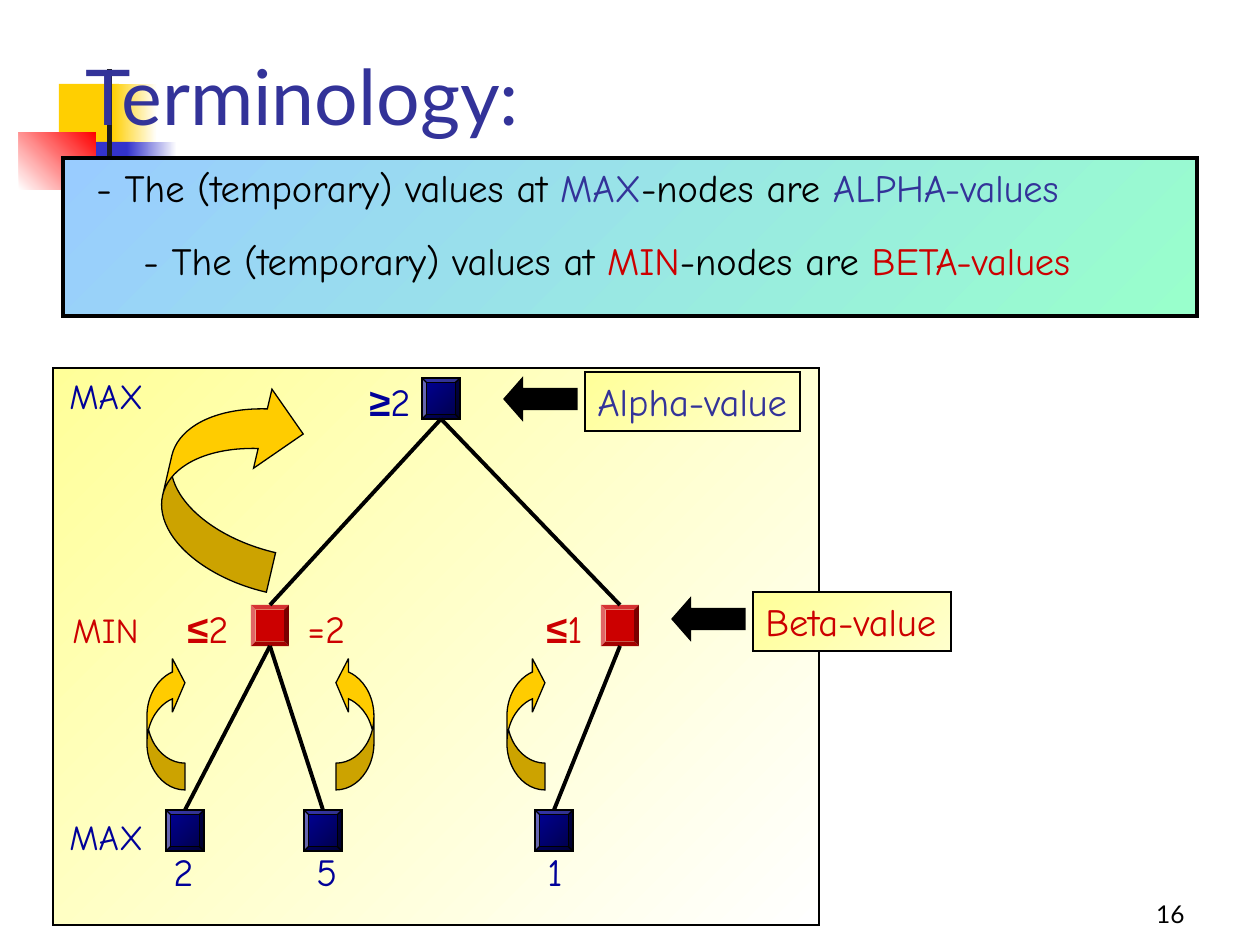
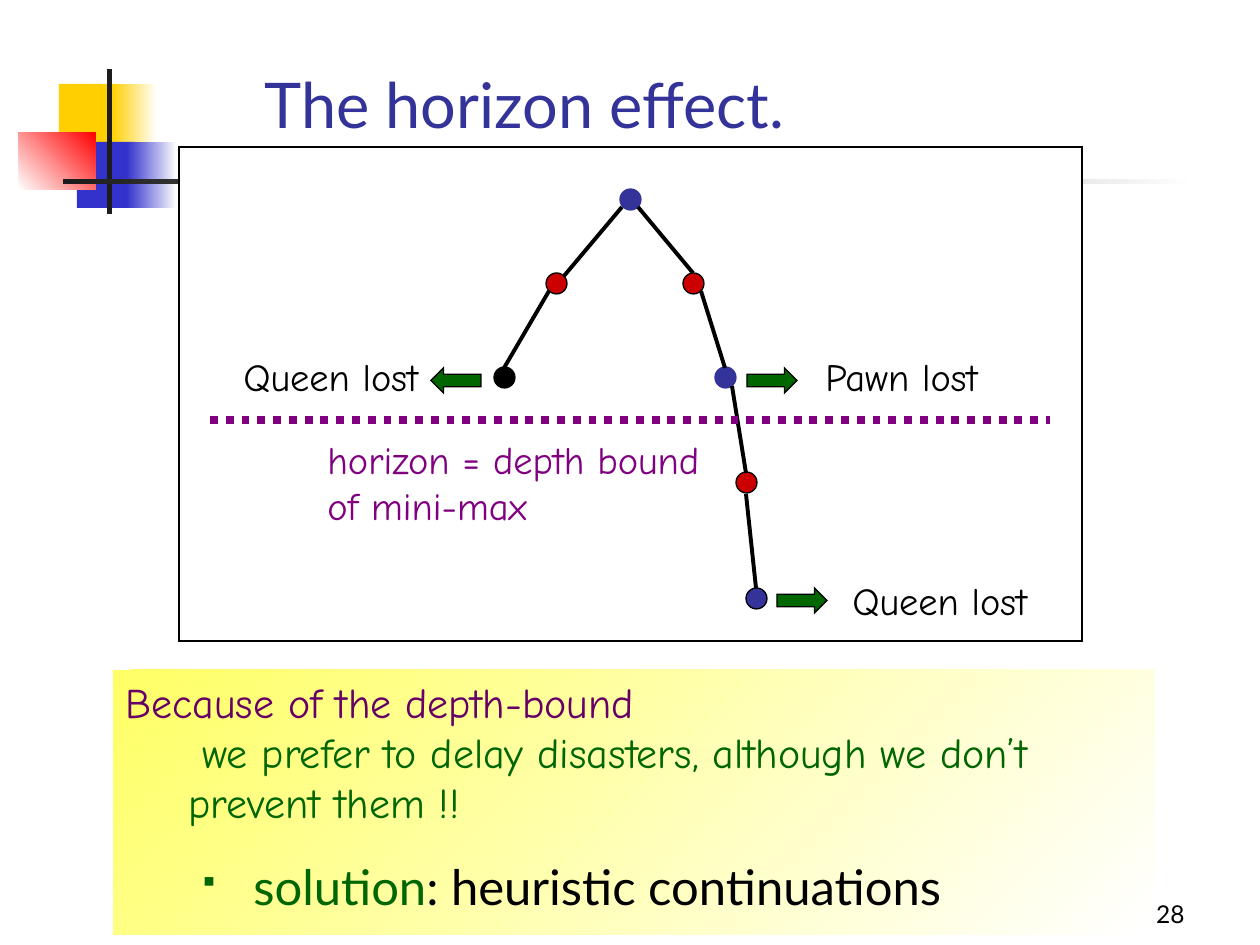
from dataclasses import dataclass

from lxml import etree
from pptx import Presentation
from pptx import util as u
from pptx.dml.color import RGBColor
from pptx.enum import dml, shapes, text
from pptx.oxml.ns import qn

PX = 914400 / 126  # EMU in one px
KIND = shapes.MSO_SHAPE
BLACK, WHITE, INK = "000000", "FFFFFF", "1C1C1C"
INDIGO, NAVY, RED = "333399", "000099", "CC0000"
GOLD, GREEN, PURPLE = "FFCC00", "006600", "800080"
SUN, BLUE = "FFCF01", "3333CC"
COMIC, LATO = "Comic Neue", "Lato"


@dataclass
class Fade:
    start: str
    end: str
    turn: int = 45


@dataclass
class Box:
    x: int
    y: int
    w: int
    h: int


@dataclass
class Run:
    text: str
    color: str
    font: str = COMIC
    bold: bool = False


@dataclass
class Label:
    box: Box
    runs: list[Run]
    size: int = 22


@dataclass
class Node:
    x: int  # centre
    y: int  # top
    fill: object
    line: str | None


@dataclass
class Dot:
    x: int
    y: int
    fill: str
    line: str = BLACK


# Shared helpers
def emu(px: float) -> int:
    return round(px * PX)


def rgb(code: str) -> RGBColor:
    return RGBColor.from_string(code)


def paint(item, fill, line: str | None = None, width: float = 0.75) -> None:
    item.shadow.inherit = False
    if isinstance(fill, Fade):
        item.fill.gradient()
        item.fill.gradient_angle = (360 - fill.turn) % 360
        for stop, code in zip(item.fill.gradient_stops, (fill.start, fill.end)):
            stop.color.rgb = rgb(code)
    else:
        item.fill.solid()
        item.fill.fore_color.rgb = rgb(fill)
    if line:
        item.line.color.rgb = rgb(line)
        item.line.width = u.Pt(width)
        etree.SubElement(item._element.spPr.find(qn("a:ln")), qn("a:miter"), lim="800000")
    else:
        item.line.fill.background()


def draw(slide, kind, box: Box, fill, line: str | None = None, width: float = 0.75):
    item = slide.shapes.add_shape(kind, emu(box.x), emu(box.y), emu(box.w), emu(box.h))
    paint(item, fill, line, width)
    return item


def join(slide, x1: int, y1: int, x2: int, y2: int, color: str = BLACK, width: float = 2.25):
    line = slide.shapes.add_connector(shapes.MSO_CONNECTOR.STRAIGHT, *map(emu, (x1, y1, x2, y2)))
    line.line.color.rgb = rgb(color)
    line.line.width = u.Pt(width)
    etree.SubElement(line._element.spPr, qn("a:effectLst"))
    return line


def write(para, runs: list[Run], size: int) -> None:
    for part in runs:
        run = para.add_run()
        run.text = part.text
        run.font.size = u.Pt(size)
        run.font.name = part.font
        run.font.bold = part.bold
        run.font.color.rgb = rgb(part.color)


def set_up(item, wrap: bool):
    frame = item.text_frame
    frame.word_wrap = wrap
    frame.vertical_anchor = text.MSO_ANCHOR.TOP
    if not wrap:
        frame.auto_size = text.MSO_AUTO_SIZE.SHAPE_TO_FIT_TEXT
    frame.paragraphs[0].alignment = text.PP_ALIGN.LEFT
    return frame


def label(slide, tag: Label, wrap: bool = False):
    box = tag.box
    item = slide.shapes.add_textbox(emu(box.x), emu(box.y), emu(box.w), emu(box.h))
    frame = set_up(item, wrap)
    write(frame.paragraphs[0], tag.runs, tag.size)
    return frame


def indent(para, left: int, first: int):
    props = para._p.get_or_add_pPr()
    props.set("marL", str(emu(left)))
    props.set("indent", str(emu(first)))
    return props


# Page base: corner blocks, rules, number and title
DECOR = [
    (Box(59, 84, 60, 66), SUN),
    (Box(112, 84, 45, 66), Fade(SUN, WHITE, 0)),
    (Box(77, 142, 58, 66), BLUE),
    (Box(127, 142, 50, 66), Fade(BLUE, WHITE, 0)),
    (Box(19, 132, 77, 58), Fade(WHITE, "FF0000", 315)),
    (Box(107, 69, 5, 145), INK),
    (Box(63, 179, 1134, 5), Fade(INK, WHITE, 0)),
]


def page(deck, title: str, box: Box, size: int, number: int):
    slide = deck.slides.add_slide(deck.slide_layouts[6])
    for block, fill in DECOR:
        draw(slide, KIND.RECTANGLE, block, fill)
    foot = label(slide, Label(Box(935, 872, 262, 63), [Run(str(number), BLACK, LATO)], 14), True)
    foot.paragraphs[0].alignment = text.PP_ALIGN.RIGHT
    head = label(slide, Label(box, [Run(title, INDIGO, LATO)], size), True)
    for frame in (foot, head):
        frame.vertical_anchor = text.MSO_ANCHOR.BOTTOM
    return slide


# Curled arrow that points upwards: band and head keep their share of the height
def curl(slide, kind, box: Box, turn: float = 0) -> None:
    arrow = draw(slide, kind, box, GOLD, BLACK)
    ratio = box.h / box.w
    for i, size in enumerate((0.2 * ratio, 0.4 * ratio, 0.33)):
        arrow.adjustments[i] = size
    arrow.rotation = turn
    arrow._element.spPr.find(qn("a:xfrm")).set("flipV", "1")


# Slide: terminology
def callout(slide, box: Box, words: str, color: str) -> None:
    item = draw(slide, KIND.RECTANGLE, box, Fade("FFFF99", "FFFFCC"), BLACK)
    write(set_up(item, False).paragraphs[0], [Run(words, color)], 22)
    arrow = draw(slide, KIND.LEFT_ARROW, Box(box.x - 81, box.y + 6, 73, 42), BLACK, BLACK)
    arrow.adjustments[1] = 0.44


def terms(deck) -> None:
    slide = page(deck, "Terminology:", Box(73, 21, 1071, 126), 44, 16)
    draw(slide, KIND.RECTANGLE, Box(63, 158, 1134, 158), Fade("99CCFF", "99FFCC"), BLACK, 2.25)
    for box, kind, value, color in (
        (Box(84, 158, 1081, 59), "MAX", "ALPHA-values", INDIGO),
        (Box(131, 231, 960, 59), "MIN", "BETA-values", RED),
    ):
        label(slide, Label(box, [
            Run("- The (temporary) values at ", BLACK), Run(kind, color),
            Run("-nodes are ", BLACK), Run(value, color)]), True)

    # Game tree
    draw(slide, KIND.RECTANGLE, Box(53, 368, 766, 557), Fade("FFFF99", WHITE), BLACK)
    dark = Fade(NAVY, "000047")
    nodes = [Node(441, 378, dark, BLACK)]
    nodes += [Node(x, 605, RED, None) for x in (270, 620)]
    nodes += [Node(x, 810, dark, BLACK) for x in (185, 323, 554)]
    for node in nodes:
        bevel = draw(slide, KIND.BEVEL, Box(node.x - 19, node.y, 38, 41), node.fill, node.line)
        bevel.adjustments[0] = 0.125
    for top, low in ((0, 1), (0, 2), (1, 3), (1, 4), (2, 5)):
        join(slide, nodes[top].x, nodes[top].y + 41, nodes[low].x, nodes[low].y)

    # Levels, leaf values and bounds
    for x, y, w, words, color in (
        (57, 368, 104, "MAX", NAVY), (60, 602, 95, "MIN", RED), (57, 809, 104, "MAX", NAVY),
    ):
        label(slide, Label(Box(x, y, w, 55), [Run(words, color)], 20))
    for x, y, w, sign, value, color in (
        (357, 372, 76, "≥", "2", NAVY), (175, 599, 76, "≤", "2", RED), (534, 599, 71, "≤", "1", RED),
    ):
        label(slide, Label(Box(x, y, w, 59), [Run(sign, color, "Arial", True), Run(value, color)]))
    for x, y, w, words, color in (
        (295, 599, 63, "=2", RED), (161, 842, 45, "2", NAVY),
        (304, 842, 45, "5", NAVY), (535, 842, 40, "1", NAVY),
    ):
        label(slide, Label(Box(x, y, w, 59), [Run(words, color)]))

    # Values passed upwards
    right, left = KIND.CURVED_RIGHT_ARROW, KIND.CURVED_LEFT_ARROW
    for x, kind in ((147, right), (336, left), (507, right)):
        curl(slide, kind, Box(x, 656, 38, 134))
    curl(slide, right, Box(168, 378, 123, 203), 13.1)
    callout(slide, Box(585, 372, 215, 59), "Alpha-value", INDIGO)
    callout(slide, Box(753, 592, 198, 59), "Beta-value", RED)


# Slide: horizon effect
DOTS = [
    Dot(630, 200, INDIGO, INDIGO), Dot(556, 284, RED), Dot(504, 378, BLACK), Dot(693, 284, RED),
    Dot(725, 378, INDIGO, INDIGO), Dot(746, 483, RED), Dot(756, 599, INDIGO),
]
EDGES = [
    (622, 207, 564, 276), (549, 291, 504, 368), (638, 207, 693, 273),
    (701, 291, 725, 368), (732, 386, 746, 473), (746, 494, 756, 588),
]


def horizon(deck) -> None:
    slide = page(deck, "The horizon effect.", Box(252, 21, 588, 126), 36, 28)
    draw(slide, KIND.RECTANGLE, Box(179, 147, 903, 494), WHITE, BLACK)
    for dot in DOTS:
        draw(slide, KIND.OVAL, Box(dot.x - 10, dot.y - 11, 21, 21), dot.fill, dot.line)
    for edge in EDGES:
        join(slide, *edge)

    # Outcomes
    for x, y, w, words in (
        (231, 347, 200, "Queen lost"), (813, 347, 179, "Pawn lost"), (840, 571, 200, "Queen lost"),
    ):
        label(slide, Label(Box(x, y, w, 59), [Run(words, BLACK)]))
    for kind, x, y in (
        (KIND.LEFT_ARROW, 431, 368), (KIND.RIGHT_ARROW, 747, 368), (KIND.RIGHT_ARROW, 777, 588),
    ):
        draw(slide, kind, Box(x, y, 50, 25), GREEN, BLACK)

    # Depth bound
    bound = join(slide, 210, 420, 1050, 420, PURPLE, 4.5)
    bound.line.dash_style = dml.MSO_LINE.ROUND_DOT
    frame = label(slide, Label(Box(315, 430, 398, 106), [Run("horizon = depth bound", PURPLE)]))
    write(frame.add_paragraph(), [Run("of mini-max", PURPLE)], 22)

    # Conclusion
    panel = draw(slide, KIND.RECTANGLE, Box(113, 670, 1042, 265), Fade("FFFF66", WHITE))
    frame = set_up(panel, True)
    write(frame.paragraphs[0], [Run("Because of the depth-bound", "660066")], 24)
    para = frame.add_paragraph()
    para.alignment = text.PP_ALIGN.LEFT
    indent(para, 63, 14)
    write(para, [Run("we prefer to delay disasters, although we don’t prevent them !!", GREEN)], 24)
    frame = label(slide, Label(Box(126, 850, 872, 53), [
        Run("solution", GREEN, LATO), Run(": heuristic continuations", BLACK, LATO)], 28), True)
    props = indent(frame.paragraphs[0], 115, -51)
    color = etree.SubElement(props, qn("a:buClr"))
    etree.SubElement(color, qn("a:srgbClr"), val=GREEN)
    etree.SubElement(props, qn("a:buSzPct"), val="60000")
    etree.SubElement(props, qn("a:buFont"), typeface="Wingdings", charset="2")
    etree.SubElement(props, qn("a:buChar"), char="§")


def main() -> None:
    deck = Presentation()
    deck.slide_width, deck.slide_height = emu(1260), emu(945)
    terms(deck)
    horizon(deck)
    deck.save("out.pptx")


if __name__ == "__main__":
    main()
